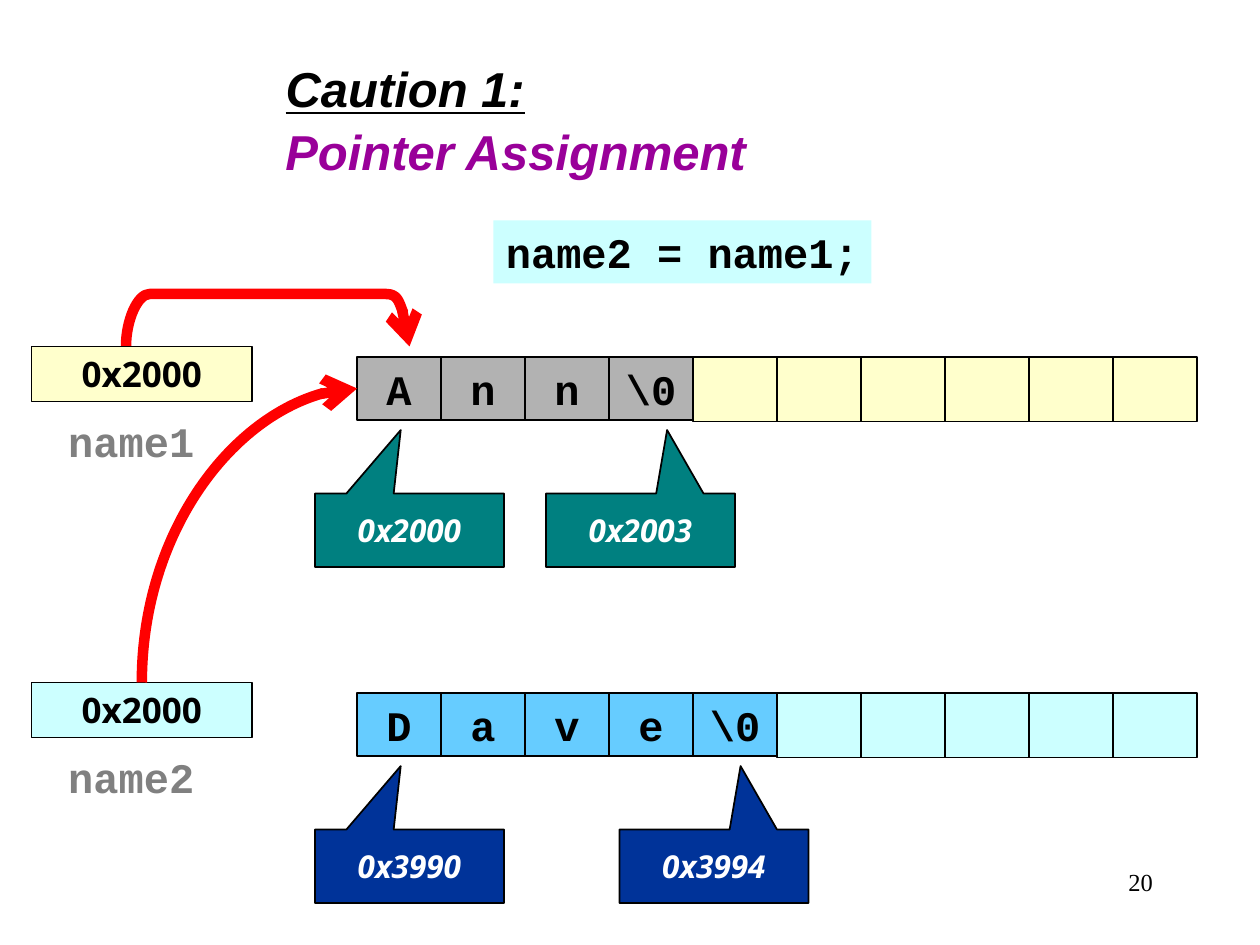
from pptx import Presentation
from pptx.dml.color import RGBColor
from pptx.enum.shapes import MSO_CONNECTOR, MSO_SHAPE
from pptx.enum.text import MSO_ANCHOR, MSO_AUTO_SIZE, PP_ALIGN
from pptx.oxml.ns import qn
from pptx.util import Inches, Pt
from lxml.etree import SubElement

prs = Presentation()
prs.slide_width, prs.slide_height = Inches(10), Inches(7.5)
U = prs.slide_width // 120  # the slide is a grid of 120 columns by 90 rows
s = prs.slides.add_slide(prs.slide_layouts[5])


def color(value):
    return RGBColor.from_string(value)


def add_item(kind, x, y, w, h, text="", font="Courier New", size=24, ink="000000",
             fill=None, line=None, bold=True, italic=False, align=PP_ALIGN.CENTER):
    """Place a text box, the title or a preset shape on the grid."""
    box = [round(v * U) for v in (x, y, w, h)]
    if kind == "title":
        sp = s.shapes.title
        sp.left, sp.top, sp.width, sp.height = box
    elif kind == "text":
        sp = s.shapes.add_textbox(*box)
    else:
        sp = s.shapes.add_shape(kind, *box)
        sp.shadow.inherit = False
    if fill:
        sp.fill.solid()
        sp.fill.fore_color.rgb = color(fill)
    if line:
        sp.line.color.rgb = color(line)
        sp.line.width = Pt(1)
    elif kind not in ("title", "text"):
        sp.line.fill.background()
    tf = sp.text_frame
    tf.word_wrap = True
    tf.auto_size = MSO_AUTO_SIZE.NONE
    tf.vertical_anchor = MSO_ANCHOR.TOP
    if text:
        tf.text = text
        p = tf.paragraphs[0]
        p.alignment = align
        f = p.runs[0].font
        f.name, f.size, f.bold, f.italic = font, Pt(size), bold, italic
        f.color.rgb = color(ink)
    return sp


# Heading
heading = dict(font="Arial", size=28, italic=True, align=PP_ALIGN.LEFT)
sp = add_item("title", 26, 5, 53, 6.8, "Caution 1:", **heading)
sp.text_frame.paragraphs[0].runs[0].font.underline = True
add_item("text", 26, 11, 50, 6.8, "Pointer Assignment", ink="990099", **heading)

# Arrow from name1 to its array: curve, straight run, curve
points = [(12, 33), (12, 30.5), (13.1, 28), (14.25, 28),
          (36.75, 28), (37.9, 28), (39, 30.5), (39, 33)]
points = [(round(x * U), round(y * U)) for x, y in points]
fb = s.shapes.build_freeform(*points[0])
fb.add_line_segments(points[1:], close=False)
name1_arrow = fb.convert_to_shape()
name1_arrow.shadow.inherit = False
name1_arrow.fill.background()
outline = name1_arrow._element.spPr.find(".//" + qn("a:path"))
segments = outline.findall(qn("a:lnTo"))
for first in (0, 4):
    curve = SubElement(outline, qn("a:cubicBezTo"))
    segments[first].addprevious(curve)
    for segment in segments[first:first + 3]:
        curve.append(segment[0])
        outline.remove(segment)

# Pointers, character arrays and address callouts
BLACK = "000000"
ROWS = [
    # top, name, characters, used fill, free fill, callout fill, callouts
    (33, "name1", ["A", "n", "n", "\\0"], "B2B2B2", "FFFFCC", "008080",
     [(30, "0x2000", -0.046), (52, "0x2003", 0.141)]),
    (65, "name2", ["D", "a", "v", "e", "\\0"], "66CCFF", "CCFFFF", "003399",
     [(30, "0x3990", -0.046), (59, "0x3994", 0.141)]),
]
for top, name, chars, used, free, dark, callouts in ROWS:
    add_item(MSO_SHAPE.RECTANGLE, 3, top, 21, 5.25, "0x2000", "Open Sans", 20,
             fill=free, line=BLACK)
    add_item("text", 4, top + 6, 17, 6, name, ink="808080")
    for i in range(10):
        in_use = i < len(chars)
        add_item(MSO_SHAPE.RECTANGLE, 34 + 8 * i, top + 1, 8, 6 if in_use else 6.15,
                 chars[i] if in_use else "", fill=used if in_use else free, line=BLACK)
    for x, address, tip in callouts:
        sp = add_item(MSO_SHAPE.RECTANGULAR_CALLOUT, x, top + 14, 18, 7, address,
                      "Open Sans", 18, "FFFFFF", dark, BLACK, italic=True)
        sp.adjustments[0], sp.adjustments[1] = tip, -1.363
        sp.text_frame.word_wrap = False
        sp.text_frame.vertical_anchor = MSO_ANCHOR.MIDDLE

# Arrow from name2 to the first array: a quarter curve, turned to start upwards
name2_arrow = s.shapes.add_connector(
    MSO_CONNECTOR.CURVE, *[round(v * U) for v in (37.75, 61.25, 9.75, 40.75)])
spPr = name2_arrow._element.spPr
spPr.find(qn("a:xfrm")).set("rot", str(90 * 60000))
spPr.find(qn("a:prstGeom")).set("prst", "curvedConnector2")

# Both arrows share their stroke
for arrow in (name1_arrow, name2_arrow):
    arrow.line.color.rgb = color("FF0000")
    arrow.line.width = Pt(6)
    SubElement(arrow.line._get_or_add_ln(), qn("a:tailEnd")).set("type", "arrow")
SubElement(spPr, qn("a:effectLst"))

# Statement and page number
add_item(MSO_SHAPE.RECTANGLE, 47, 21, 36, 6, "name2 = name1;", fill="CCFFFF",
         align=PP_ALIGN.LEFT)
add_item("text", 86, 82, 25, 6, "20", "Times New Roman", 14, bold=False,
         align=PP_ALIGN.RIGHT)

prs.save("out.pptx")
